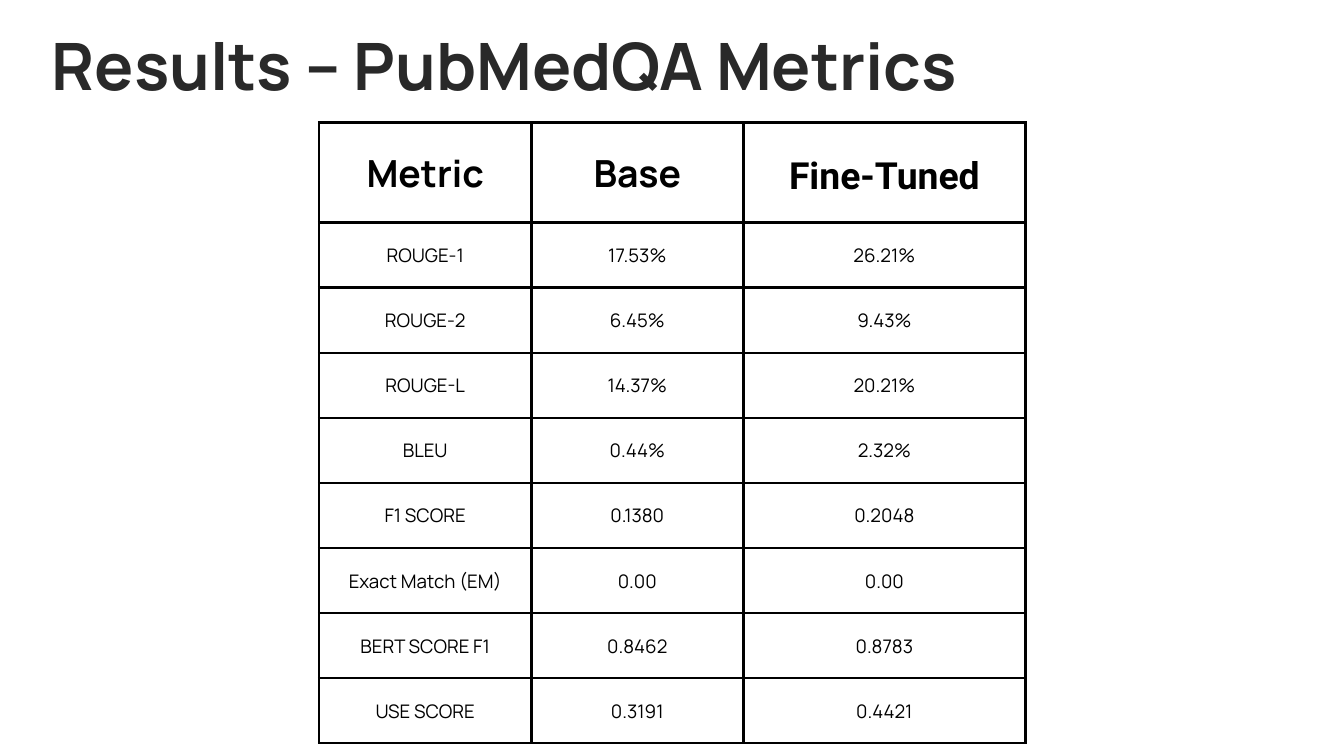
"""Build the PubMedQA metrics slide with its title and results table."""
import pptx
import pptx.dml.color
import pptx.enum.text
import pptx.oxml
import pptx.oxml.ns
import pptx.util
from lxml import etree

PX = 9525
BLACK = pptx.dml.color.RGBColor(0x00, 0x00, 0x00)
CHARCOAL = pptx.dml.color.RGBColor(0x29, 0x29, 0x29)
CENTER = pptx.enum.text.PP_ALIGN.CENTER
LEFT = pptx.enum.text.PP_ALIGN.LEFT


def write(text_frame, text, *, size, spacing, font="Manrope", color=BLACK, bold=False, align=CENTER):
    paragraph = text_frame.paragraphs[0]
    paragraph.alignment = align
    paragraph.line_spacing = pptx.util.Pt(spacing)
    run = paragraph.add_run()
    run.text = text
    run.font.name = font
    run.font.size = pptx.util.Pt(size)
    run.font.bold = bold
    run.font.color.rgb = color


def add_borders(cell, width, color):
    properties = cell._tc.get_or_add_tcPr()
    for position, side in enumerate(("lnL", "lnR", "lnT", "lnB")):
        line = etree.Element(pptx.oxml.ns.qn(f"a:{side}"), w=str(pptx.util.Pt(width)))
        fill = etree.SubElement(line, pptx.oxml.ns.qn("a:solidFill"))
        etree.SubElement(fill, pptx.oxml.ns.qn("a:srgbClr"), val=str(color))
        properties.insert(position, line)


presentation = pptx.Presentation()
presentation.slide_width = 1920 * PX
presentation.slide_height = 1080 * PX
slide = presentation.slides.add_slide(presentation.slide_layouts[6])

rows = [
    ("Metric", "Base", "Fine-Tuned"),
    ("ROUGE-1", "17.53%", "26.21%"),
    ("ROUGE-2", "6.45%", "9.43%"),
    ("ROUGE-L", "14.37%", "20.21%"),
    ("BLEU", "0.44%", "2.32%"),
    ("F1 SCORE", "0.1380", "0.2048"),
    ("Exact Match (EM)", "0.00", "0.00"),
    ("BERT SCORE F1", "0.8462", "0.8783"),
    ("USE SCORE", "0.3191", "0.4421"),
]
column_widths = (303, 303, 403)
row_heights = [143] + [93] * (len(rows) - 1)

table = slide.shapes.add_table(
    len(rows), len(column_widths), 456 * PX, 175 * PX,
    sum(column_widths) * PX, sum(row_heights) * PX,
).table
table.first_row = False
table.horz_banding = False
for column, width in zip(table.columns, column_widths):
    column.width = width * PX

for row_index, (row, height, values) in enumerate(zip(table.rows, row_heights, rows)):
    row.height = height * PX
    is_header = row_index == 0
    for cell, value in zip(row.cells, values):
        cell.fill.background()
        cell.vertical_anchor = pptx.enum.text.MSO_ANCHOR.MIDDLE
        cell.margin_left = cell.margin_right = 20 * PX
        cell.margin_top = cell.margin_bottom = 20 * PX
        add_borders(cell, 3, BLACK)
        write(
            cell.text_frame, value,
            size=40 if is_header else 20,
            spacing=56 if is_header else 28,
            font="Roboto" if value == "Fine-Tuned" else "Manrope",
            bold=is_header,
        )

title = slide.shapes.add_textbox(74 * PX, 54 * PX, 1597 * PX, 97 * PX).text_frame
title.word_wrap = True
title.auto_size = pptx.enum.text.MSO_AUTO_SIZE.SHAPE_TO_FIT_TEXT
title.margin_left = title.margin_right = title.margin_top = title.margin_bottom = 0
write(title, "Results – PubMedQA Metrics", size=70, spacing=70, color=CHARCOAL, bold=True, align=LEFT)

presentation.save("out.pptx")
